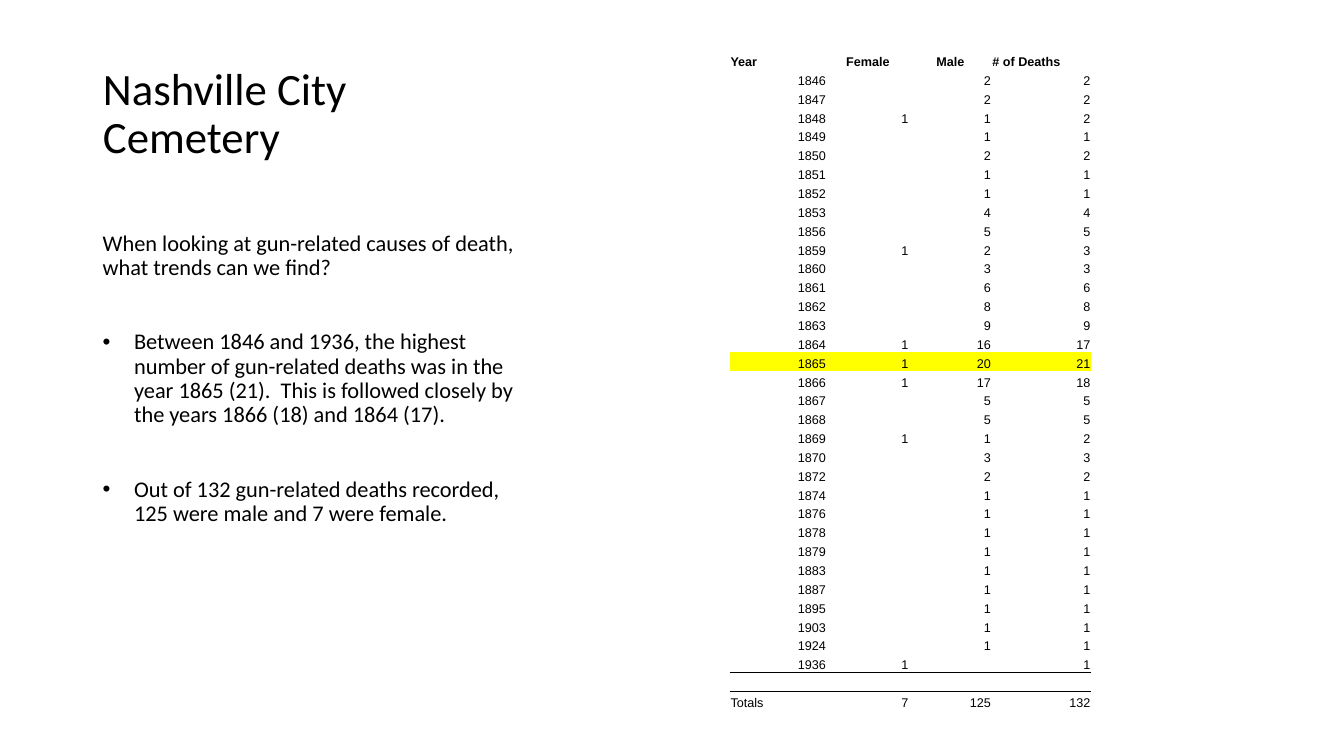
"""Build the Nashville City Cemetery slide with its table of gun-related deaths."""
from typing import NamedTuple

from lxml.etree import SubElement
from pptx import Presentation
from pptx.dml.color import RGBColor
from pptx.enum.text import MSO_AUTO_SIZE as FIT, MSO_VERTICAL_ANCHOR as ANCHOR, PP_ALIGN as ALIGN
from pptx.oxml import parse_xml
from pptx.oxml.ns import nsdecls, qn
from pptx.util import Cm, Pt

COLORS = {"text": "000000", "highlight": "FFFF00"}
PLAIN_TABLE = "{2D5ABB26-0587-4C30-8999-92F81FD0307C}"
HEADERS = ["Year", "Female", "Male", "# of Deaths"]
HEADER_ALIGN = [ALIGN.LEFT, ALIGN.CENTER, ALIGN.CENTER, ALIGN.LEFT]
COL_WIDTHS = [2.44, 2.08, 2.08, 2.51]
TABLE_HEIGHT = 16.64
PEAK_YEAR = 1865


class Deaths(NamedTuple):
    year: int
    female: int
    male: int


class Point(NamedTuple):
    text: str
    bullet: bool
    before: float


RECORDS = [Deaths(*row) for row in [
    (1846, 0, 2), (1847, 0, 2), (1848, 1, 1), (1849, 0, 1), (1850, 0, 2), (1851, 0, 1),
    (1852, 0, 1), (1853, 0, 4), (1856, 0, 5), (1859, 1, 2), (1860, 0, 3), (1861, 0, 6),
    (1862, 0, 8), (1863, 0, 9), (1864, 1, 16), (1865, 1, 20), (1866, 1, 17), (1867, 0, 5),
    (1868, 0, 5), (1869, 1, 1), (1870, 0, 3), (1872, 0, 2), (1874, 0, 1), (1876, 0, 1),
    (1878, 0, 1), (1879, 0, 1), (1883, 0, 1), (1887, 0, 1), (1895, 0, 1), (1903, 0, 1),
    (1924, 0, 1), (1936, 1, 0)]]

POINTS = [
    Point("When looking at gun-related causes of death, what trends can we find?", False, 0),
    Point("Between 1846 and 1936, the highest number of gun-related deaths was in the year "
          "1865 (21).  This is followed closely by the years 1866 (18) and 1864 (17).", True, 36),
    Point("Out of 132 gun-related deaths recorded, 125 were male and 7 were female.", True, 36),
]


def write(p, text: str, *, size: float, font: str = "Calibri", bold: bool = False,
          align=ALIGN.LEFT, line: float = 1.0, before: float = 0) -> None:
    """Put formatted text in a paragraph."""
    p.alignment, p.line_spacing, p.space_before = align, line, Pt(before)
    if not text:
        SubElement(p._p, qn("a:endParaRPr"), sz=str(int(size * 100)))
        return
    r = p.add_run()
    r.text = text
    r.font.name, r.font.size, r.font.bold = font, Pt(size), bold
    r.font.color.rgb = RGBColor.from_string(COLORS["text"])


def add_bullet(p, indent: float) -> None:
    """Give a paragraph a round bullet with a hanging indent."""
    pPr = p._p.get_or_add_pPr()
    pPr.set("marL", str(Cm(indent)))
    pPr.set("indent", str(-Cm(indent)))
    SubElement(pPr, qn("a:buFont"), typeface="Arial")
    SubElement(pPr, qn("a:buChar"), char="•")


def add_rule(cell, side: str) -> None:
    """Draw a thin border on one side of a cell."""
    cell._tc.get_or_add_tcPr().insert(0, parse_xml(
        f'<a:{side} {nsdecls("a")} w="{Pt(0.5)}"><a:solidFill>'
        f'<a:srgbClr val="{COLORS["text"]}"/></a:solidFill></a:{side}>'))


def fill_cell(cell, text: str, *, align, bold: bool, highlight: bool) -> None:
    """Set the text, margins and fill of a table cell."""
    cell.margin_left = cell.margin_right = cell.margin_top = Cm(0.02)
    cell.margin_bottom = 0
    cell.vertical_anchor = ANCHOR.BOTTOM
    write(cell.text_frame.paragraphs[0], text, size=9, font="Arial", bold=bold, align=align)
    if highlight:
        cell.fill.solid()
        cell.fill.fore_color.rgb = RGBColor.from_string(COLORS["highlight"])
    else:
        cell.fill.background()


def add_title(slide, text: str) -> None:
    """Place and format the title placeholder."""
    s = slide.shapes.title
    s.left, s.top, s.width, s.height = Cm(2.34), Cm(1.27), Cm(10.92), Cm(2.97)
    tf = s.text_frame
    tf.word_wrap, tf.auto_size, tf.vertical_anchor = True, FIT.NONE, ANCHOR.BOTTOM
    write(tf.paragraphs[0], text, size=32, line=0.9)


def add_points(slide, points: list[Point]) -> None:
    """Add the question and its findings."""
    tf = slide.shapes.add_textbox(Cm(2.34), Cm(5.72), Cm(10.92), Cm(10.59)).text_frame
    tf.word_wrap = True
    for i, point in enumerate(points):
        p = tf.add_paragraph() if i else tf.paragraphs[0]
        write(p, point.text, size=16, line=0.9, before=point.before)
        if point.bullet:
            add_bullet(p, 0.79)


def add_deaths_table(slide, records: list[Deaths]) -> None:
    """Add the table of deaths by year, with totals."""
    female, male = sum(d.female for d in records), sum(d.male for d in records)
    rows = [HEADERS]
    rows += [[d.year, d.female, d.male, d.female + d.male] for d in records]
    rows += [[""] * len(HEADERS), ["Totals", female, male, female + male]]
    table = slide.shapes.add_table(len(rows), len(HEADERS), Cm(18.39), Cm(1.27),
                                   Cm(sum(COL_WIDTHS)), Cm(TABLE_HEIGHT)).table
    table.first_row = table.horz_banding = False
    table._tbl.tblPr.find(qn("a:tableStyleId")).text = PLAIN_TABLE
    for col, width in zip(table.columns, COL_WIDTHS):
        col.width = Cm(width)
    for i, values in enumerate(rows):
        table.rows[i].height = Cm(TABLE_HEIGHT / len(rows))
        for j, value in enumerate(values):
            cell = table.cell(i, j)
            align = HEADER_ALIGN[j] if i == 0 else ALIGN.LEFT if value == "Totals" else ALIGN.RIGHT
            fill_cell(cell, str(value or ""), align=align, bold=i == 0,
                      highlight=values[0] == PEAK_YEAR)
            if i == len(records):
                add_rule(cell, "lnB")
            elif i == len(records) + 1:
                add_rule(cell, "lnT")


def main() -> None:
    """Build and save the slide."""
    prs = Presentation()
    prs.slide_width, prs.slide_height = Cm(33.87), Cm(19.05)
    slide = prs.slides.add_slide(prs.slide_layouts[5])
    add_title(slide, "Nashville City Cemetery")
    add_points(slide, POINTS)
    add_deaths_table(slide, RECORDS)
    prs.save("out.pptx")


main()
